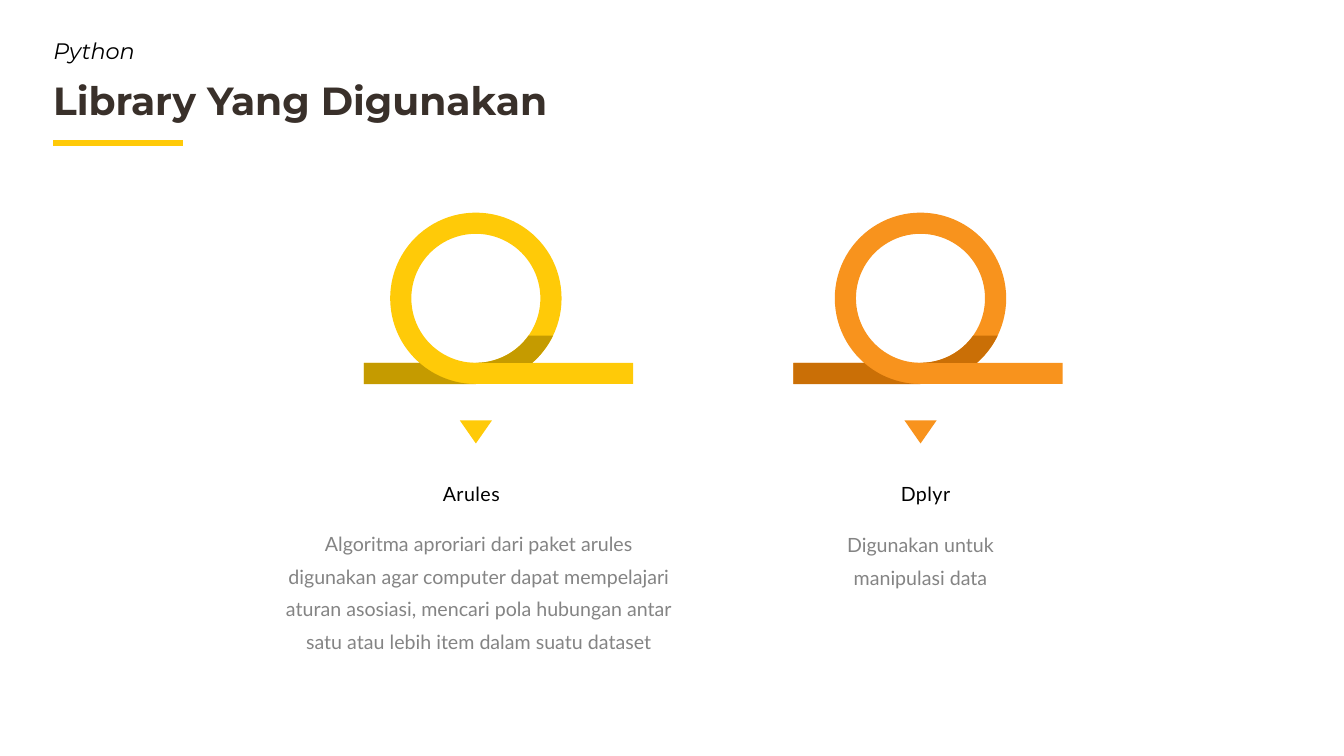
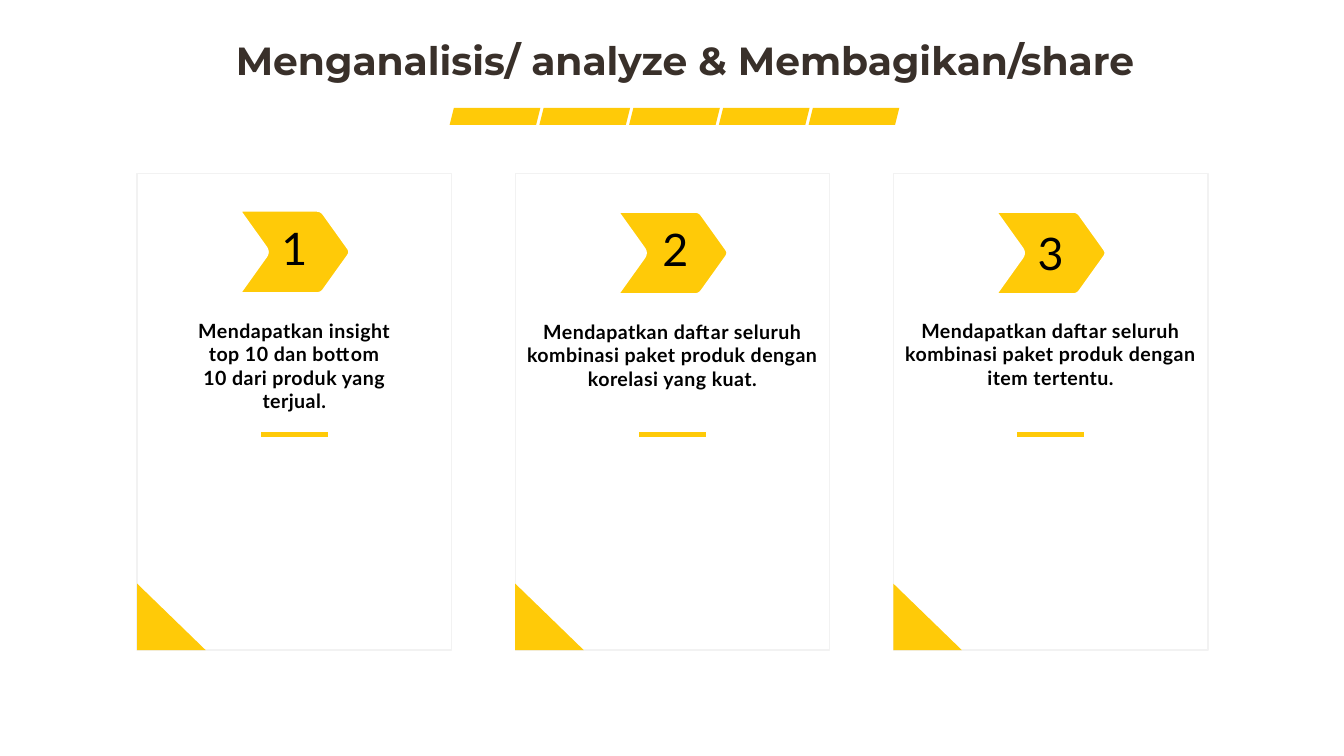
import math

import pptx
import pptx.dml.color
import pptx.enum.shapes
import pptx.enum.text
import pptx.oxml
import pptx.oxml.ns
import pptx.util

Inches = pptx.util.Inches
Pt = pptx.util.Pt
SHAPE = pptx.enum.shapes.MSO_SHAPE
ALIGN = pptx.enum.text.PP_ALIGN

COLORS = {
    "yellow": "FFCA08",
    "dark_yellow": "C59B00",
    "orange": "F8931D",
    "dark_orange": "CA6F06",
    "title": "39302A",
    "black": "000000",
    "gray": "848484",
    "border": "F2F2F2",
    "white": "FFFFFF",
}
HEAD_FONT = "Montserrat"
BODY_FONT = "Lato"


def rgb(name):
    return pptx.dml.color.RGBColor.from_string(COLORS[name])


def arc(cx, cy, radius, start, end, steps=16):
    angles = [math.radians(start + (end - start) * i / steps) for i in range(steps + 1)]
    return [(cx + radius * math.cos(a), cy + radius * math.sin(a)) for a in angles]


def toward(a, b, distance):
    t = distance / math.dist(a, b)
    return a[0] + (b[0] - a[0]) * t, a[1] + (b[1] - a[1]) * t


def rounded(corners, cut, steps=6):
    points = []
    for i, corner in enumerate(corners):
        a = toward(corner, corners[i - 1], cut)
        b = toward(corner, corners[(i + 1) % len(corners)], cut)
        for t in (k / steps for k in range(steps + 1)):
            points.append(tuple(
                (1 - t) ** 2 * p + 2 * t * (1 - t) * q + t ** 2 * r
                for p, q, r in zip(a, corner, b)))
    return points


class Deck:
    def __init__(self):
        self.prs = pptx.Presentation()
        self.prs.slide_width = Inches(13.33)
        self.prs.slide_height = Inches(7.5)
        self.s = None

    def new_slide(self):
        self.s = self.prs.slides.add_slide(self.prs.slide_layouts[6])

    def paint(self, sp, fill=None, line=None, width=1):
        sp.shadow.inherit = False
        if fill:
            sp.fill.solid()
            sp.fill.fore_color.rgb = rgb(fill)
        else:
            sp.fill.background()
        if line:
            sp.line.color.rgb = rgb(line)
            sp.line.width = Pt(width)
        else:
            sp.line.fill.background()

    def shape(self, kind, left, top, width, height, fill=None, line=None):
        sp = self.s.shapes.add_shape(kind, Inches(left), Inches(top),
                                     Inches(width), Inches(height))
        self.paint(sp, fill, line)
        return sp

    def outline(self, points, fill, line=None, width=1):
        emu = [(Inches(x), Inches(y)) for x, y in points]
        builder = self.s.shapes.build_freeform(*emu[0])
        builder.add_line_segments(emu[1:], close=True)
        self.paint(builder.convert_to_shape(), fill, line, width)

    def rule(self, left, y, length, width):
        line = self.s.shapes.add_connector(
            pptx.enum.shapes.MSO_CONNECTOR.STRAIGHT,
            Inches(left), Inches(y), Inches(left + length), Inches(y))
        line.line.color.rgb = rgb("yellow")
        line.line.width = Pt(width)
        line._element.spPr.append(pptx.oxml.parse_xml(
            "<a:effectLst %s/>" % pptx.oxml.ns.nsdecls("a")))

    def text(self, text, left, top, width, height, size, color="black", font=BODY_FONT,
             bold=False, italic=False, align=ALIGN.CENTER, spacing=None, tracking=0,
             wrap=True):
        sp = self.s.shapes.add_textbox(Inches(left), Inches(top),
                                       Inches(width), Inches(height))
        tf = sp.text_frame
        tf.word_wrap = wrap
        tf.auto_size = pptx.enum.text.MSO_AUTO_SIZE.SHAPE_TO_FIT_TEXT
        p = tf.paragraphs[0]
        p.alignment = align
        if spacing:
            p.line_spacing = spacing
        r = p.add_run()
        r.text = text
        p.font.name = font
        p.font.size = Pt(size)
        p.font.bold = bold
        p.font.italic = italic
        p.font.color.rgb = rgb(color)
        if tracking:
            r._r.get_or_add_rPr().set("spc", str(round(tracking * 100)))

    def title(self, text, left, top, width):
        self.text(text, left, top, width, 0.57, 28, "title", HEAD_FONT,
                  bold=True, align=ALIGN.LEFT)

    def loop(self, cx, bar_left, color):
        cy, outer, inner = 2.96, 0.85, 0.64
        shade = "dark_" + color
        ring = self.shape(SHAPE.DONUT, cx - outer, cy - outer, 2 * outer, 2 * outer, color)
        ring.adjustments[0] = (outer - inner) / (2 * outer)
        self.shape(SHAPE.RECTANGLE, bar_left, cy + inner, 2.67, outer - inner, color)
        self.outline(arc(cx, cy, inner, 35.3, 90) + arc(cx, cy, outer, 48.8, 25.8), shade)
        self.outline([(bar_left, cy + inner), (bar_left, cy + outer)]
                     + arc(cx, cy, outer, 90, 131.2), shade)
        self.shape(SHAPE.FLOWCHART_MERGE, cx - 0.16, 4.17, 0.32, 0.23, color)

    def chevron(self, left, top):
        corners = [(-0.01, 0), (0.82, 0), (1.12, 0.42),
                   (0.82, 0.84), (-0.01, 0.84), (0.29, 0.42)]
        points = rounded([(left + x, top + y) for x, y in corners], 0.05)
        self.outline(points, "yellow", "white", 3)

    def card(self, left, number, number_box, chevron_top, label, label_top, label_width):
        top, width, height = 1.72, 3.12, 4.73
        cx = left + width / 2
        self.chevron(cx - 0.55, chevron_top)
        self.shape(SHAPE.RECTANGLE, left, top, width, height, line="border")
        self.text(number, *number_box, 0.9, 0.59, 32, spacing=0.9, tracking=0.3)
        self.text(label, cx - label_width / 2, label_top, label_width, 0.81, 14,
                  bold=True, tracking=0.3)
        self.rule(cx - 0.33, 4.31, 0.66, 3)
        self.shape(SHAPE.RIGHT_TRIANGLE, left, top + height - 0.66, 0.68, 0.66, "yellow")


def library_slide(deck):
    deck.new_slide()
    deck.title("Library Yang Digunakan", 0.43, 0.71, 5.24)
    deck.text("Python", 0.43, 0.32, 1.02, 0.37, 16, font=HEAD_FONT, italic=True,
              align=ALIGN.LEFT, wrap=False)
    deck.rule(0.53, 1.42, 1.29, 4.5)
    libraries = [
        (4.72, 3.61, "yellow", "Arules", (4.29, 4.73, 0.77, 0.34),
         "Algoritma aproriari dari paket arules digunakan agar computer dapat "
         "mempelajari aturan asosiasi, mencari pola hubungan antar satu atau lebih "
         "item dalam suatu dataset", (2.67, 5.13, 4.16, 1.38)),
        (9.13, 7.87, "orange", "Dplyr", (8.83, 4.73, 0.7, 0.34),
         "Digunakan untuk manipulasi data", (7.87, 5.14, 2.52, 0.72)),
    ]
    for cx, bar_left, color, name, name_box, about, about_box in libraries:
        deck.loop(cx, bar_left, color)
        deck.text(name, *name_box, 14, tracking=0.3, wrap=False)
        deck.text(about, *about_box, 14, "gray", spacing=1.4)


def analysis_slide(deck):
    deck.new_slide()
    deck.title("Menganalisis/ analyze & Membagikan/share", 2.24, 0.31, 11.98)
    for i in range(5):
        deck.shape(SHAPE.PARALLELOGRAM, 4.46 + 0.89 * i, 1.07, 0.9, 0.17, "yellow")
    cards = [
        ((2.47, 2.2), 2.08,
         "Mendapatkan insight top 10 dan bottom 10 dari produk yang terjual.", 3.11, 2.17),
        ((6.25, 2.21), 2.09,
         "Mendapatkan daftar seluruh kombinasi paket produk dengan korelasi yang kuat.",
         3.12, 3.12),
        ((9.97, 2.25), 2.09,
         "Mendapatkan daftar seluruh kombinasi paket produk dengan item tertentu.",
         3.11, 3.12),
    ]
    for i, content in enumerate(cards):
        number_box, *rest = content
        deck.card(1.36 + 3.75 * i, str(i + 1), number_box, *rest)


def main():
    deck = Deck()
    library_slide(deck)
    analysis_slide(deck)
    deck.prs.save("out.pptx")


if __name__ == "__main__":
    main()
